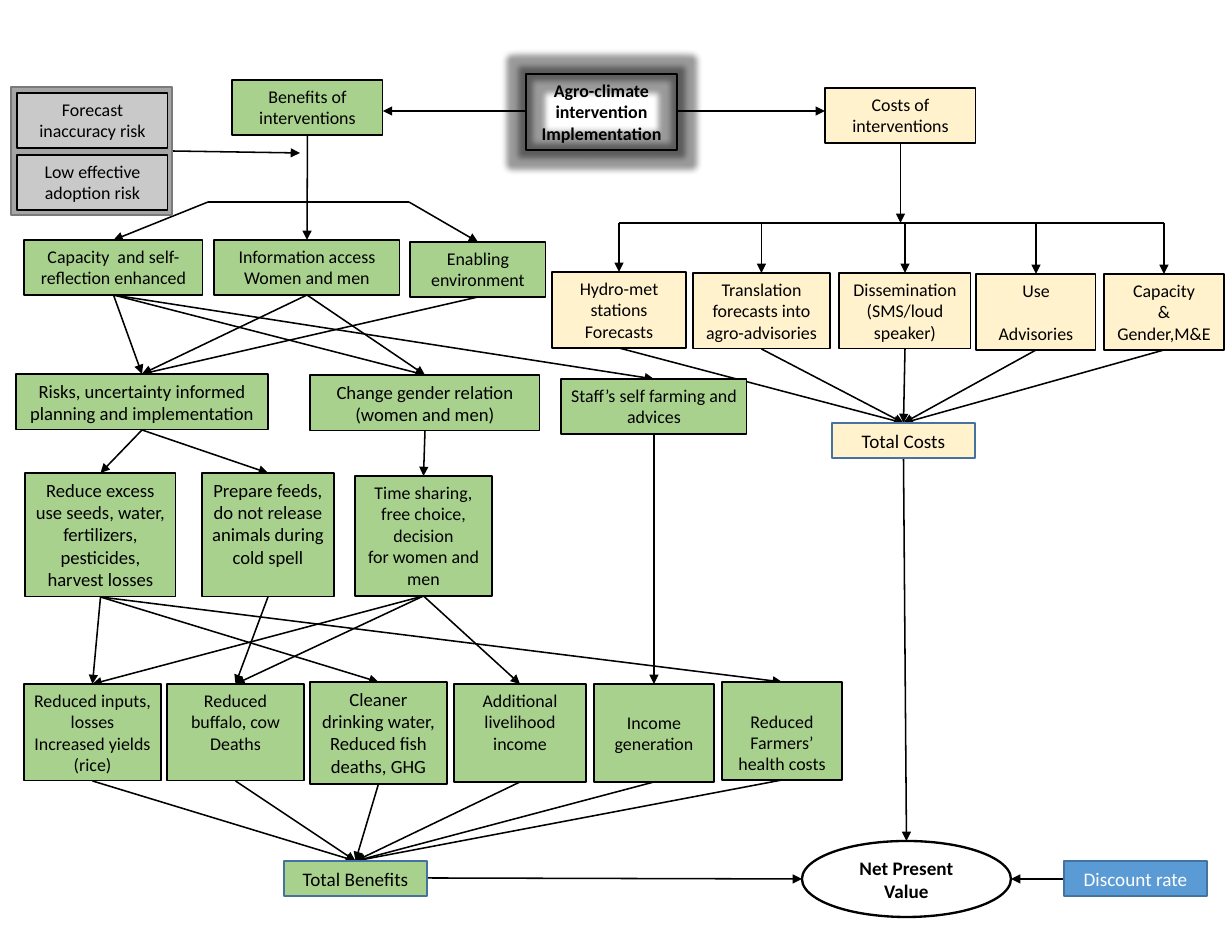
from lxml.etree import SubElement
from pptx import Presentation
from pptx.dml.color import RGBColor
from pptx.enum.shapes import MSO_CONNECTOR as CONN, MSO_SHAPE as SHAPE
from pptx.enum.text import MSO_ANCHOR as ANCHOR, PP_ALIGN as ALIGN
from pptx.oxml.ns import qn
from pptx.util import Pt

SCALE = 914400 / 112
FONT = "Calibri"
BLACK, WHITE = "000000", "FFFFFF"
GREEN, CREAM, GRAY, BLUE, NAVY = "A9D18E", "FFF2CC", "C9C9C9", "5B9BD5", "43739E"

RISKS = {
    "forecast": (17, 93, 151, 55, "Forecast inaccuracy risk"),
    "adoption": (17, 155, 151, 55, "Low effective adoption risk"),
}
COSTS = {
    "costs": (825, 88, 151, 55, "Costs of interventions"),
    "hydromet": (552, 272, 134, 76, "Hydro-met stations\nForecasts"),
    "translation": (693, 273, 137, 76, "Translation forecasts into agro-advisories"),
    "dissemination": (839, 273, 132, 76, "Dissemination (SMS/loud speaker)"),
    "use": (976, 274, 120, 76, "Use\nAdvisories"),
    "capacity": (1104, 274, 120, 76, "Capacity\n&\nGender,M&E"),
}
BENEFITS = {
    "benefits": (232, 80, 151, 55, "Benefits of interventions"),
    "reflection": (24, 240, 179, 55, "Capacity  and self-reflection enhanced"),
    "information": (214, 240, 186, 55, "Information access\nWomen and men"),
    "enabling": (410, 242, 136, 55, "Enabling environment"),
    "staff": (561, 379, 186, 55, "Staff’s self farming and advices"),
    "sharing": (355, 476, 137, 120, "Time sharing,\nfree choice, decision\nfor women and men"),
    "inputs": (24, 684, 137, 97, "Reduced inputs, losses\nIncreased yields (rice)"),
    "buffalo": (167, 684, 137, 97, "Reduced buffalo, cow\nDeaths"),
    "livelihood": (454, 684, 132, 98, "Additional livelihood income"),
    "income": (594, 684, 120, 98, "Income generation"),
    "health": (722, 682, 120, 98, "Reduced\nFarmers’ health costs"),
}
BENEFITS_LARGE = {
    "planning": (16, 374, 252, 56, "Risks, uncertainty informed planning and implementation"),
    "gender": (310, 375, 230, 56, "Change gender relation (women and men)"),
    "excess": (25, 473, 151, 124,
               "Reduce excess use seeds, water, fertilizers, pesticides, harvest losses"),
    "feeds": (202, 473, 132, 124, "Prepare feeds, do not release animals during cold spell"),
    "water": (310, 682, 137, 102, "Cleaner drinking water,\nReduced fish deaths, GHG"),
}
TOTALS = {
    "total_costs": (832, 423, 143, 35, "Total Costs"),
    "total_benefits": (284, 861, 143, 35, "Total Benefits"),
    "discount": (1064, 861, 143, 35, "Discount rate"),
}
PROGRAM = (526, 74, 151, 76)
NPV = (802, 841, 209, 76)
BOXES = {**RISKS, **COSTS, **BENEFITS, **BENEFITS_LARGE, **TOTALS, "npv": NPV}

COST_ITEMS = ["hydromet", "translation", "dissemination", "use", "capacity"]
LINKS = {
    "benefits": ["information"],
    "reflection": ["planning", "gender", "staff"],
    "information": ["planning", "gender"],
    "enabling": ["planning"],
    "planning": ["excess", "feeds"],
    "gender": ["sharing"],
    "excess": ["inputs", "water", "health"],
    "feeds": ["buffalo"],
    "sharing": ["inputs", "buffalo", "livelihood"],
    "staff": ["income"],
    "total_costs": ["npv"],
    **{item: ["total_costs"] for item in COST_ITEMS},
    **{item: ["total_benefits"] for item in
       ("inputs", "buffalo", "water", "livelihood", "income", "health")},
}
ANCHORS = {"income": ANCHOR.MIDDLE, "health": ANCHOR.BOTTOM}


def px(n):
    return round(n * SCALE)


def rgb(color):
    return RGBColor.from_string(color)


def top(name):
    x, y, w = BOXES[name][:3]
    return x + w / 2, y


def bottom(name):
    x, y, w, h = BOXES[name][:4]
    return x + w / 2, y + h


def add_line(s, start, end, arrow=True):
    c = s.shapes.add_connector(CONN.STRAIGHT, *map(px, (*start, *end)))
    c.line.color.rgb = rgb(BLACK)
    c.line.width = Pt(1)
    if arrow:
        SubElement(c.line._get_or_add_ln(), qn("a:tailEnd"), type="triangle")
    SubElement(c._element.spPr, qn("a:effectLst"))


def add_box(s, rect, fill, line=BLACK, width=0.75, shape=SHAPE.RECTANGLE):
    sp = s.shapes.add_shape(shape, *map(px, rect))
    sp.shadow.inherit = False
    if fill:
        sp.fill.solid()
        sp.fill.fore_color.rgb = rgb(fill)
    else:
        sp.fill.background()
    sp.line.color.rgb = rgb(line)
    sp.line.width = Pt(width)
    return sp


def add_text(sp, text, size=11.5, color=BLACK, bold=False, anchor=ANCHOR.TOP, gap=0):
    tf = sp.text_frame
    tf.word_wrap = True
    tf.vertical_anchor = anchor
    tf.margin_left = tf.margin_right = px(10)
    for i, line in enumerate(text.split("\n")):
        p = tf.add_paragraph() if i else tf.paragraphs[0]
        p.alignment = ALIGN.CENTER
        if i and gap:
            p.space_before = Pt(gap)
        r = p.add_run()
        r.text = line
        r.font.name = FONT
        r.font.size = Pt(size)
        r.font.bold = bold
        r.font.color.rgb = rgb(color)


def add_glow(sp, color, radius, alpha):
    effects = sp._element.spPr.find(qn("a:effectLst"))
    glow = SubElement(effects, qn("a:glow"), rad=str(px(radius)))
    clr = SubElement(glow, qn("a:srgbClr"), val=color)
    SubElement(clr, qn("a:alpha"), val=str(alpha * 1000))


def add_boxes(s, boxes, fill, size=11.5):
    for name, (*rect, text) in boxes.items():
        sp = add_box(s, rect, fill)
        add_text(sp, text, size, anchor=ANCHORS.get(name, ANCHOR.TOP),
                 gap=14 if name == "use" else 0)


def add_total(s, name, fill, color=BLACK):
    *rect, text = TOTALS[name]
    sp = add_box(s, rect, fill, NAVY, 1)
    add_text(sp, text, 12.3, color, anchor=ANCHOR.MIDDLE)


def add_arrows(s):
    for source, targets in LINKS.items():
        for target in targets:
            add_line(s, bottom(source), top(target))
    add_line(s, (526, 111), (383, 111))
    add_line(s, (677, 111), (825, 111))
    add_line(s, (172, 151), (300, 153))
    add_line(s, (427, 878), (802, 879))
    add_line(s, (1064, 879), (1011, 879))

    bus = 223
    add_line(s, bottom("costs"), (bottom("costs")[0], bus))
    add_line(s, (top(COST_ITEMS[0])[0], bus), (top(COST_ITEMS[-1])[0], bus), False)
    for item in COST_ITEMS:
        x, y = top(item)
        add_line(s, (x, bus), (x, y))

    left, right = (208, 202), (409, 202)
    add_line(s, left, right, False)
    add_line(s, left, top("reflection"))
    add_line(s, right, top("enabling"))


def main():
    prs = Presentation()
    prs.slide_width, prs.slide_height = px(1232), px(952)
    s = prs.slides.add_slide(prs.slide_layouts[6])
    add_arrows(s)
    add_box(s, (11, 87, 161, 128), "A5A5A5", "7A7A7A", 1)
    add_boxes(s, RISKS, GRAY)
    add_boxes(s, COSTS, CREAM)
    add_boxes(s, BENEFITS, GREEN)
    add_boxes(s, BENEFITS_LARGE, GREEN, 12)
    add_total(s, "total_costs", CREAM)
    add_total(s, "total_benefits", GREEN)
    add_total(s, "discount", BLUE, WHITE)
    program = add_box(s, PROGRAM, None, width=1.5)
    add_glow(program, BLACK, 12, 40)
    add_text(program, "Agro-climate intervention\nImplementation", bold=True)
    npv = add_box(s, NPV, WHITE, width=1.5, shape=SHAPE.OVAL)
    add_text(npv, "Net Present\nValue", 12.3, bold=True, anchor=ANCHOR.MIDDLE)
    prs.save("out.pptx")


if __name__ == "__main__":
    main()
